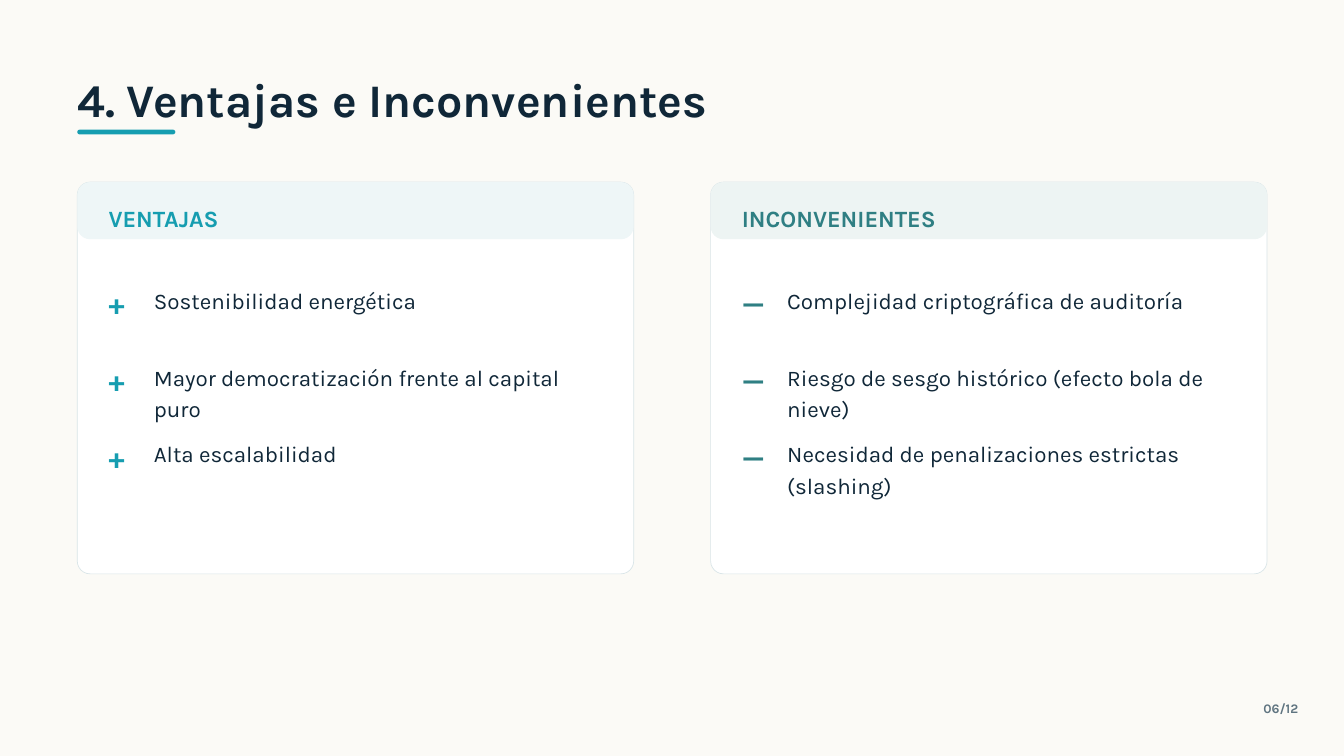
from pptx import Presentation
from pptx.dml.color import RGBColor
from pptx.enum.shapes import MSO_SHAPE as SHAPE
from pptx.enum.text import MSO_ANCHOR as ANCHOR, PP_ALIGN as ALIGN
from pptx.util import Inches, Pt

TITLE = "4. Ventajas e Inconvenientes"
PAGE = "06/12"
CARDS = [
    {"heading": "VENTAJAS", "mark": "+", "accent": "169DB0", "band": "EEF6F7",
     "items": ["Sostenibilidad energética",
               "Mayor democratización frente al capital puro",
               "Alta escalabilidad"]},
    {"heading": "INCONVENIENTES", "mark": "—", "accent": "2F7F83", "band": "EDF4F3",
     "items": ["Complejidad criptográfica de auditoría",
               "Riesgo de sesgo histórico (efecto bola de nieve)",
               "Necesidad de penalizaciones estrictas (slashing)"]},
]

THEME = {
    "font": "Karla", "background": "FBFAF6", "ink": "102738", "muted": "5F7480",
    "teal": "169DB0", "card": "FFFFFF", "border": "D9E5E8",
    "title": 50, "mark": 32, "heading": 25, "body": 24, "page": 14,
}
LEADING = 1.4  # line pitch as a multiple of the type size

MARGIN, CARD_TOP, CARD_W, CARD_H = 1.15, 2.71, 8.28, 5.83
CARD_STEP, BAND_H, RADIUS = 9.425, 0.85, 0.19
PAD, ITEM_INDENT, ITEM_TOP, ITEM_STEP = 0.465, 1.14, 4.15, 1.145


def rgb(name):
    return RGBColor.from_string(THEME.get(name, name))


def set_text(s, text, size, color, bold=True, align=ALIGN.LEFT):
    tf = s.text_frame
    frame = {"word_wrap": True, "vertical_anchor": ANCHOR.TOP, "margin_left": 0,
             "margin_right": 0, "margin_top": 0, "margin_bottom": 0}
    for name, value in frame.items():
        setattr(tf, name, value)
    p = tf.paragraphs[0]
    p.alignment = align
    p.line_spacing = Pt(THEME[size] * LEADING)
    p.space_before = Pt(0)
    r = p.add_run()
    r.text = text
    font = {"name": THEME["font"], "size": Pt(THEME[size]), "bold": bold}
    for name, value in font.items():
        setattr(r.font, name, value)
    r.font.color.rgb = rgb(color)


def add_text(slide, box, *args, **options):
    set_text(slide.shapes.add_textbox(*map(Inches, box)), *args, **options)


def add_panel(slide, box, radius, fill, border=None):
    s = slide.shapes.add_shape(SHAPE.ROUNDED_RECTANGLE, *map(Inches, box))
    s.adjustments[0] = radius / min(box[2:])
    s.shadow.inherit = False
    s.fill.solid()
    s.fill.fore_color.rgb = rgb(fill)
    if border:
        s.line.color.rgb = rgb(border)
        s.line.width = Pt(0.75)
    else:
        s.line.fill.background()


def add_card(slide, left, card):
    add_panel(slide, (left, CARD_TOP, CARD_W, CARD_H), RADIUS, "card", "border")
    add_panel(slide, (left, CARD_TOP, CARD_W, BAND_H), RADIUS, card["band"])
    inner = left + PAD
    add_text(slide, (inner, 2.97, 6.25, 0.46), card["heading"], "heading", card["accent"])
    for i, item in enumerate(card["items"]):
        top = ITEM_TOP + i * ITEM_STEP
        add_text(slide, (inner, top, 0.52, 0.6), card["mark"], "mark", card["accent"])
        add_text(slide, (left + ITEM_INDENT, top + 0.05, 6.46, 0.9), item,
                 "body", "ink", bold=False)


def main():
    prs = Presentation()
    prs.slide_width, prs.slide_height = Inches(20), Inches(11.25)
    slide = prs.slides.add_slide(prs.slide_layouts[5])
    slide.background.fill.solid()
    slide.background.fill.fore_color.rgb = rgb("background")

    title = slide.shapes.title
    title.left, title.top, title.width, title.height = map(
        Inches, (MARGIN, 0.91, 17.71, 0.94))
    set_text(title, TITLE, "title", "ink")
    add_panel(slide, (MARGIN, 1.93, 1.46, 0.07), 0.035, "teal")

    for i, card in enumerate(CARDS):
        add_card(slide, MARGIN + i * CARD_STEP, card)
    add_text(slide, (16.2, 10.39, 3.12, 0.26), PAGE, "page", "muted", align=ALIGN.RIGHT)
    prs.save("out.pptx")


if __name__ == "__main__":
    main()
